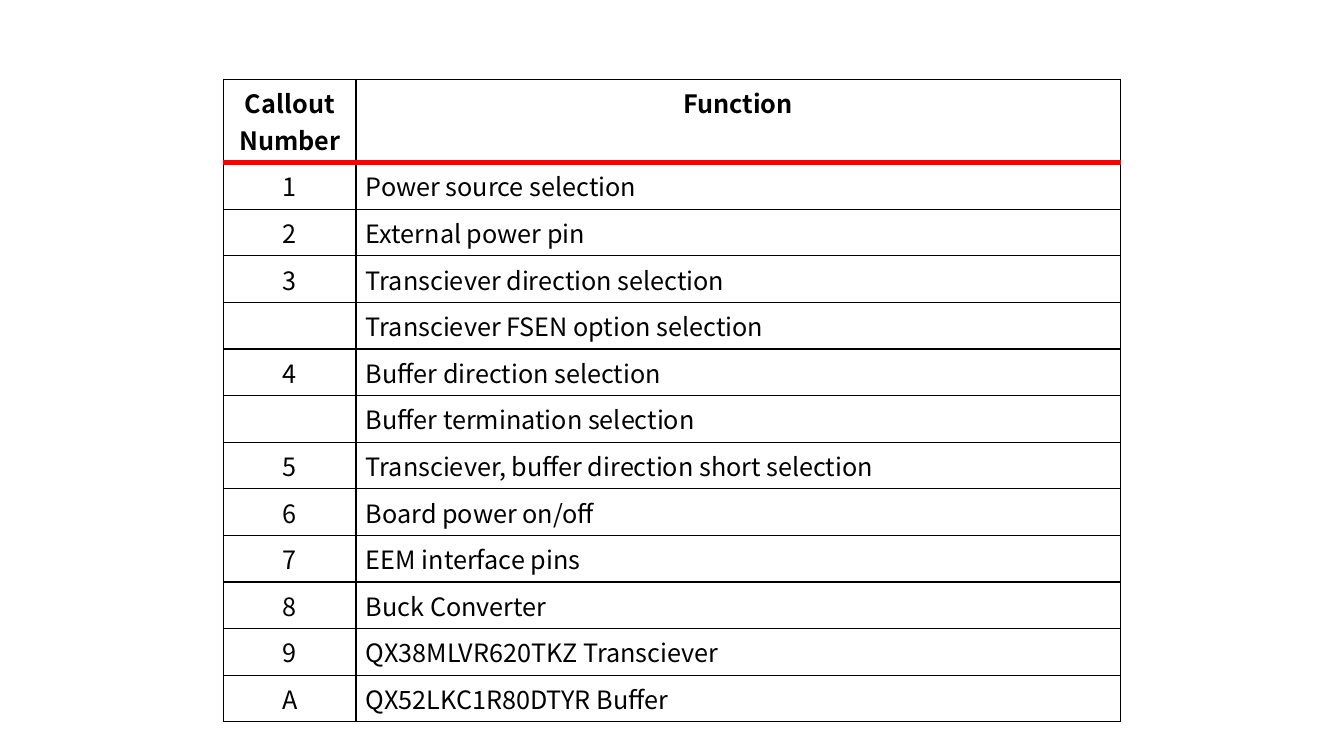
from dataclasses import dataclass

from lxml.etree import SubElement
from pptx import Presentation
from pptx.dml.color import RGBColor
from pptx.enum.text import PP_ALIGN
from pptx.oxml.ns import qn
from pptx.util import Inches, Pt


@dataclass(frozen=True)
class Theme:
    font: str = "Noto Sans CJK KR"
    text_size: int = 18
    text: str = "000000"
    background: str = "FFFFFF"
    grid: str = "000000"
    accent: str = "FF0000"
    grid_width: float = 1
    accent_width: float = 4.5


THEME = Theme()

CALLOUTS = [
    ("Callout Number", "Function"),
    ("1", "Power source selection"),
    ("2", "External power pin"),
    ("3", "Transciever direction selection"),
    ("", "Transciever FSEN option selection"),
    ("4", "Buffer direction selection"),
    ("", "Buffer termination selection"),
    ("5", "Transciever, buffer direction short selection"),
    ("6", "Board power on/off"),
    ("7", "EEM interface pins"),
    ("8", "Buck Converter"),
    ("9", "QX38MLVR620TKZ Transciever"),
    ("A", "QX52LKC1R80DTYR Buffer"),
]
COLUMN_WIDTHS = (1.31, 7.58)
ROW_HEIGHT = 0.41


def add_border(cell, side, color, width):
    properties = cell._tc.get_or_add_tcPr()
    line = SubElement(properties, qn(f"a:ln{side}"), w=str(Pt(width)))
    fill = SubElement(line, qn("a:solidFill"))
    SubElement(fill, qn("a:srgbClr"), val=color)


def style_borders(cell, row_index):
    # The header and the first body row share the accent rule
    accent_side = {0: "B", 1: "T"}.get(row_index)
    for side in "LRTB":
        if side == accent_side:
            add_border(cell, side, THEME.accent, THEME.accent_width)
        else:
            add_border(cell, side, THEME.grid, THEME.grid_width)


def fill_cell(cell, text, bold, centered):
    cell.fill.solid()
    cell.fill.fore_color.rgb = RGBColor.from_string(THEME.background)
    cell.text_frame.text = text
    paragraph = cell.text_frame.paragraphs[0]
    paragraph.alignment = PP_ALIGN.CENTER if centered else PP_ALIGN.LEFT
    for run in paragraph.runs:
        run.font.name = THEME.font
        run.font.size = Pt(THEME.text_size)
        run.font.bold = bold
        run.font.color.rgb = RGBColor.from_string(THEME.text)


def add_callout_table(slide, left, top):
    shape = slide.shapes.add_table(
        len(CALLOUTS), len(COLUMN_WIDTHS), Inches(left), Inches(top),
        Inches(sum(COLUMN_WIDTHS)), Inches(ROW_HEIGHT * len(CALLOUTS)))
    table = shape.table
    table.horz_banding = False
    for column, width in zip(table.columns, COLUMN_WIDTHS):
        column.width = Inches(width)
    for row_index, texts in enumerate(CALLOUTS):
        table.rows[row_index].height = Inches(ROW_HEIGHT)
        is_header = row_index == 0
        for column_index, text in enumerate(texts):
            cell = table.cell(row_index, column_index)
            style_borders(cell, row_index)
            fill_cell(cell, text, bold=is_header,
                      centered=is_header or column_index == 0)


def main():
    presentation = Presentation()
    presentation.slide_width = Inches(13.33)
    presentation.slide_height = Inches(7.5)
    slide = presentation.slides.add_slide(presentation.slide_layouts[6])

    # Callout list
    add_callout_table(slide, left=2.22, top=0.79)

    presentation.save("out.pptx")


if __name__ == "__main__":
    main()
